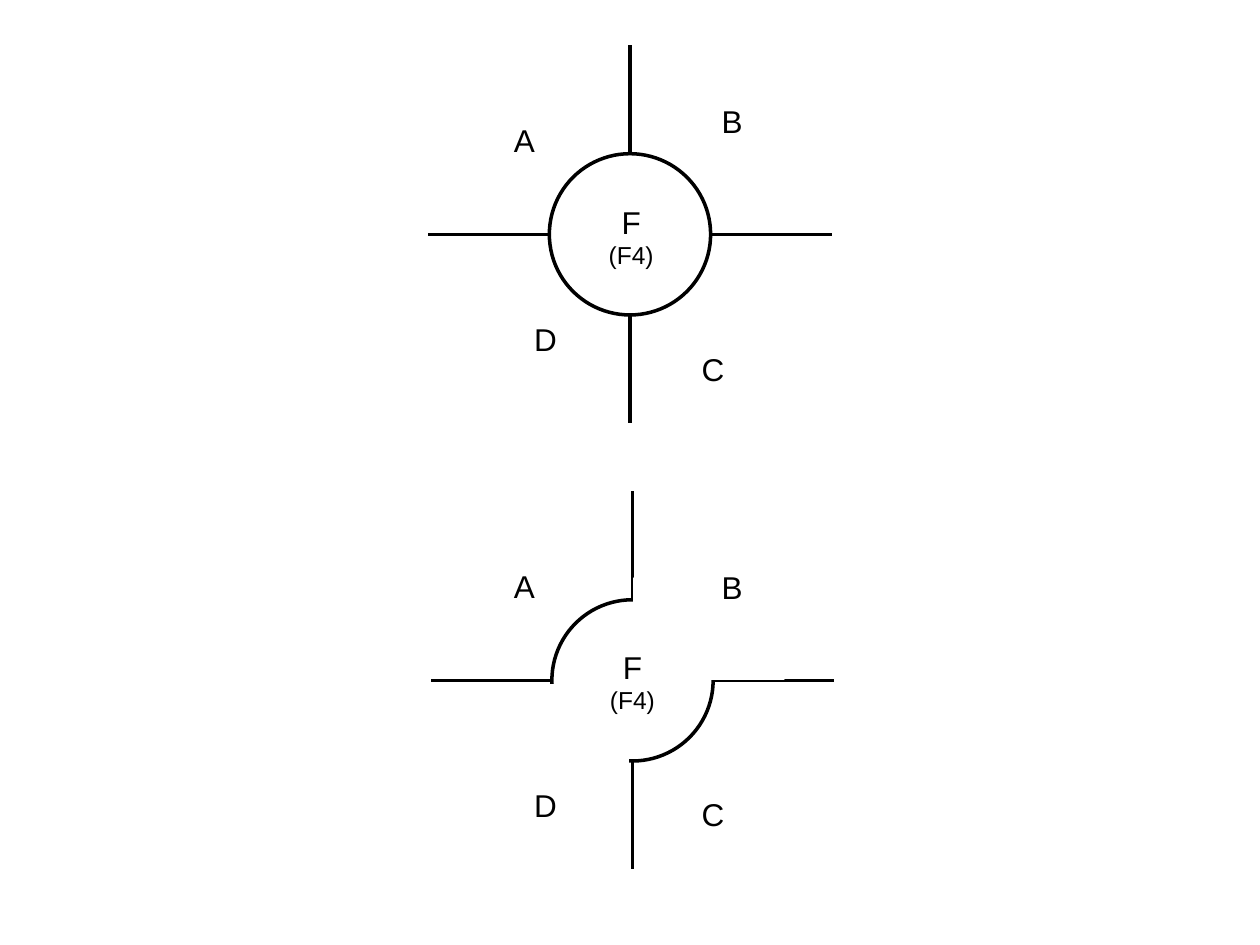
from pptx import Presentation
from pptx.dml.color import RGBColor
from pptx.enum.shapes import MSO_CONNECTOR, MSO_SHAPE
from pptx.enum.text import MSO_AUTO_SIZE, PP_ALIGN
from pptx.oxml.ns import qn
from pptx.util import Inches, Pt

LINE = MSO_CONNECTOR.STRAIGHT
OVAL, RECT = MSO_SHAPE.OVAL, MSO_SHAPE.RECTANGLE
FIT = MSO_AUTO_SIZE.SHAPE_TO_FIT_TEXT
LEFT, CENTER = PP_ALIGN.LEFT, PP_ALIGN.CENTER

COLORS = {"ink": "000000", "paper": "FFFFFF"}
RADIUS = 0.64
ARM_X, ARM_Y = 1.6, 1.5  # reach of the arms from the centre


class Diagram:
    font = "Arial"
    line_width = Pt(2)

    def __init__(self, slide):
        self.slide = slide

    def color(self, name):
        return RGBColor.from_string(COLORS[name])

    def shape(self, shapes, kind, x, y, w, h, outline):
        s = shapes.add_shape(kind, Inches(x), Inches(y), Inches(w), Inches(h))
        s.shadow.inherit = False
        s.fill.solid()
        s.fill.fore_color.rgb = self.color("paper")
        s.line.color.rgb = self.color(outline)
        s.line.width = self.line_width

    def line(self, shapes, x1, y1, x2, y2):
        c = shapes.add_connector(LINE, Inches(x1), Inches(y1), Inches(x2), Inches(y2))
        c.line.color.rgb = self.color("ink")
        c.line.width = self.line_width
        c._element.spPr.get_or_add_ln().addnext(
            c._element.makeelement(qn("a:effectLst"), {}))

    def junction(self, shapes, cx, cy):
        """A circle with four arms pointing outwards."""
        self.shape(shapes, OVAL, cx - RADIUS, cy - RADIUS, 2 * RADIUS, 2 * RADIUS, "ink")
        for dx, dy in ((-1, 0), (1, 0), (0, -1), (0, 1)):
            self.line(shapes, cx + dx * RADIUS, cy + dy * RADIUS,
                      cx + dx * ARM_X, cy + dy * ARM_Y)

    def text(self, x, y, w, h, lines, align=LEFT):
        box = self.slide.shapes.add_textbox(Inches(x), Inches(y), Inches(w), Inches(h))
        tf = box.text_frame
        tf.word_wrap = False
        tf.auto_size = FIT
        tf.text = "\n".join(text for text, size in lines)
        for p, (text, size) in zip(tf.paragraphs, lines):
            p.alignment = align
            for r in p.runs:
                r.font.name = self.font
                r.font.size = Pt(size)
                r.font.color.rgb = self.color("ink")

    def labels(self, tops):
        for letter, x, w in (("A", 3.98, 0.36), ("B", 5.63, 0.36),
                             ("C", 5.47, 0.38), ("D", 4.14, 0.38)):
            self.text(x, tops[letter], w, 0.4, [(letter, 18)])

    def center_label(self, x, y):
        self.text(x, y, 0.56, 0.64, [("F", 18), ("(F4)", 14)], CENTER)


def main():
    prs = Presentation()
    prs.slide_width, prs.slide_height = Inches(10), Inches(7.5)
    slide = prs.slides.add_slide(prs.slide_layouts[6])
    d = Diagram(slide)

    # Closed junction
    d.junction(slide.shapes.add_group_shape().shapes, 5, 1.86)
    d.labels({"A": 0.91, "B": 0.76, "C": 2.73, "D": 2.49})
    d.center_label(4.73, 1.56)

    # Open junction: white blocks open the circle towards B and D
    d.junction(slide.shapes, 5.02, 5.4)
    for x, y in ((3.8, 5.44), (5.04, 4.59)):
        d.shape(slide.shapes, RECT, x, y, 1.18, 0.79, "paper")
    d.labels({"A": 4.45, "B": 4.46, "C": 6.26, "D": 6.19})
    d.center_label(4.74, 5.09)

    prs.save("out.pptx")


if __name__ == "__main__":
    main()
